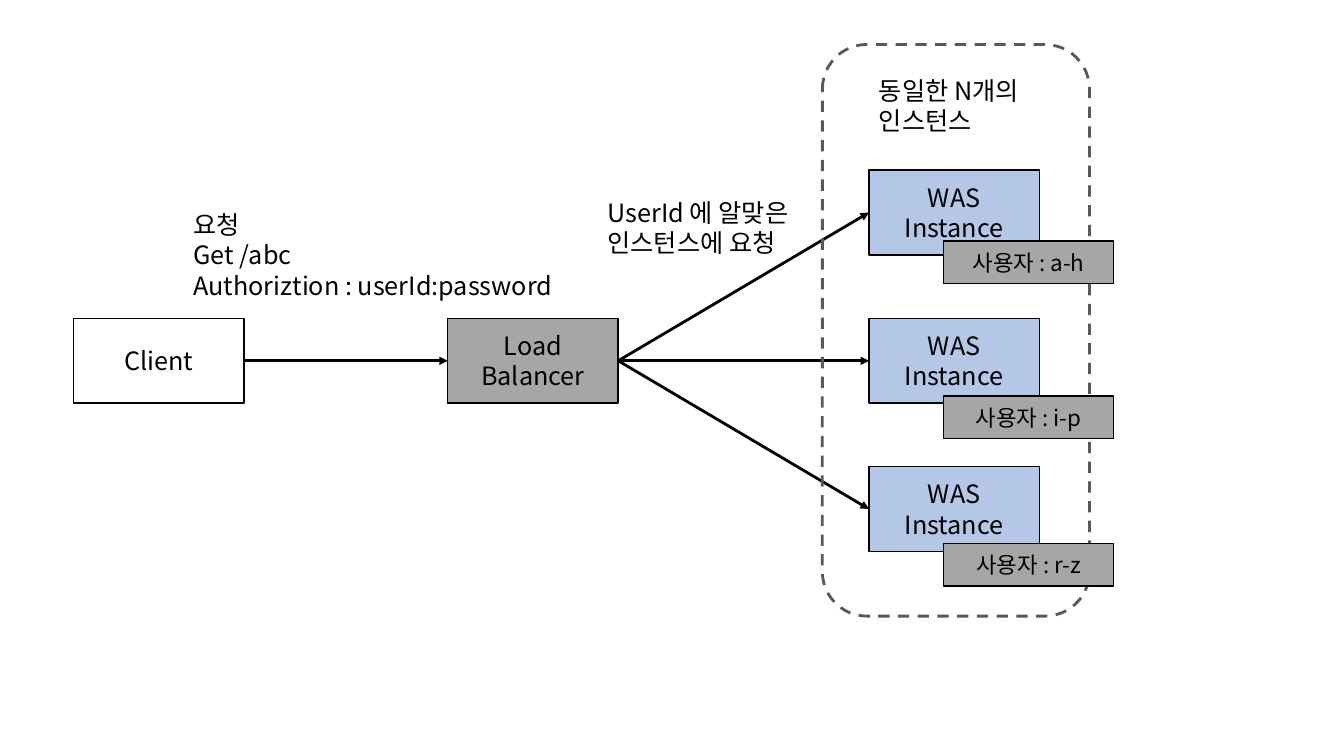
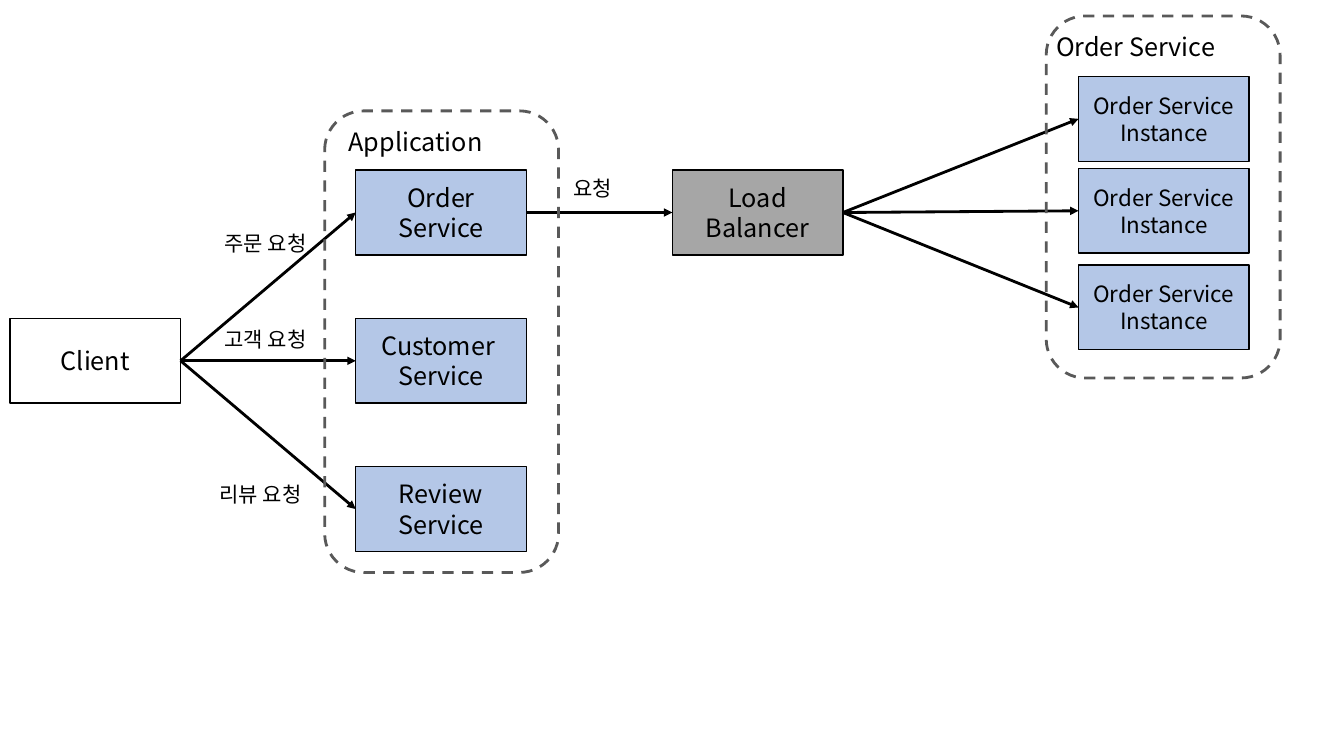
import lxml.etree
import pptx
import pptx.dml.color
import pptx.enum.dml
import pptx.enum.shapes
import pptx.enum.text
import pptx.oxml.ns
import pptx.util

COLORS = {"ink": "000000", "client": "FFFFFF", "balancer": "A6A6A6",
          "service": "B4C7E7", "frame": "595959"}
FONT = "Noto Sans CJK KR"
COLUMNS, ROWS = 32, 18
NODE_WIDTH, NODE_HEIGHT, BADGE_HEIGHT = 4.06, 2.02, 1.01
MIDDLE, STEP = 7.58, 3.53
TIERS = [MIDDLE - STEP, MIDDLE, MIDDLE + STEP]
SHAPES = pptx.enum.shapes.MSO_SHAPE
ANCHORS = pptx.enum.text.MSO_ANCHOR
NODE_FRAME = {"word_wrap": True, "vertical_anchor": ANCHORS.MIDDLE}
LABEL_FRAME = {"word_wrap": True, "vertical_anchor": ANCHORS.TOP,
               "auto_size": pptx.enum.text.MSO_AUTO_SIZE.SHAPE_TO_FIT_TEXT}
NODE_PARA = {"alignment": pptx.enum.text.PP_ALIGN.CENTER}
LABEL_PARA = {"alignment": pptx.enum.text.PP_ALIGN.LEFT}
THIN = {"width": pptx.util.Pt(1)}
THICK = {"width": pptx.util.Pt(2)}
DASHED = {**THICK, "dash_style": pptx.enum.dml.MSO_LINE.DASH}


def set_values(target, values):
    """Set each attribute named in values on the target."""
    for name, value in values.items():
        setattr(target, name, value)


def add_tag(parent, tag, **attributes):
    """Append a drawing element to its parent."""
    lxml.etree.SubElement(parent, pptx.oxml.ns.qn(tag), attributes)


class Diagram:
    """Hold the deck's style and draw on the current slide."""

    def __init__(self):
        """Start an empty widescreen deck."""
        self.deck = pptx.Presentation()
        set_values(self.deck, {"slide_width": pptx.util.Inches(13.33),
                               "slide_height": pptx.util.Inches(7.5)})
        self.page = None

    def new_page(self):
        """Add a blank slide and make it current."""
        self.page = self.deck.slides.add_slide(self.deck.slide_layouts[6])

    def place(self, column, row, columns, rows):
        """Turn grid cells into left, top, width and height."""
        across = self.deck.slide_width / COLUMNS
        down = self.deck.slide_height / ROWS
        return [round(length) for length in
                (column * across, row * down, columns * across, rows * down)]

    def color(self, name):
        """Look up a colour by its role."""
        return pptx.dml.color.RGBColor.from_string(COLORS[name])

    def outline(self, line, color, values):
        """Colour and format a line."""
        line.fill.solid()
        line.fill.fore_color.rgb = self.color(color)
        set_values(line, values)

    def fill_text(self, box, text, size, frame_format, para_format):
        """Fill a box with one paragraph per line of text."""
        frame = box.text_frame
        set_values(frame, frame_format)
        for index, line in enumerate(text.split("\n")):
            para = frame.add_paragraph() if index else frame.paragraphs[0]
            para.text = line
            set_values(para, para_format)
            for span in para.runs:
                set_values(span.font, {"name": FONT, "size": pptx.util.Pt(size)})
                span.font.color.rgb = self.color("ink")
                add_tag(span.font._element, "a:ea", typeface=FONT)

    def node(self, text, color, column, row, rows=NODE_HEIGHT, size=18):
        """Draw a filled box with centred text."""
        box = self.page.shapes.add_shape(
            SHAPES.RECTANGLE, *self.place(column, row, NODE_WIDTH, rows))
        box.shadow.inherit = False
        box.fill.solid()
        box.fill.fore_color.rgb = self.color(color)
        self.outline(box.line, "ink", THIN)
        self.fill_text(box, text, size, NODE_FRAME, NODE_PARA)
        return box

    def frame(self, *cells):
        """Draw a dashed rounded group outline."""
        box = self.page.shapes.add_shape(
            SHAPES.ROUNDED_RECTANGLE, *self.place(*cells))
        box.shadow.inherit = False
        box.fill.background()
        self.outline(box.line, "frame", DASHED)

    def label(self, text, *cells, size=18):
        """Add free text."""
        box = self.page.shapes.add_textbox(*self.place(*cells))
        self.fill_text(box, text, size, LABEL_FRAME, LABEL_PARA)

    def arrow(self, source, target):
        """Join the right side of one box to the left side of another."""
        link = self.page.shapes.add_connector(
            pptx.enum.shapes.MSO_CONNECTOR.STRAIGHT, 0, 0, 0, 0)
        link.begin_connect(source, 3)
        link.end_connect(target, 1)
        self.outline(link.line, "ink", THICK)
        properties = link._element.spPr
        add_tag(properties.find(pptx.oxml.ns.qn("a:ln")), "a:tailEnd", type="triangle")
        add_tag(properties, "a:effectLst")

    def fan_out(self, source, targets):
        """Draw an arrow from one box to each target."""
        for target in targets:
            self.arrow(source, target)


def draw_user_routing(diagram):
    """Show requests routed to instances by user."""
    diagram.new_page()
    client = diagram.node("Client", "client", 1.75, MIDDLE)
    balancer = diagram.node("Load Balancer", "balancer", 10.66, MIDDLE)
    instances = [diagram.node("WAS\vInstance", "service", 20.69, row) for row in TIERS]
    diagram.arrow(client, balancer)
    diagram.fan_out(balancer, instances)
    diagram.frame(19.58, 1.06, 6.36, 13.61)
    diagram.label("요청\nGet /abc\nAuthoriztion : userId:password", 4.37, 4.87, 9.86, 2.42)
    diagram.label("UserId 에 알맞은 \n인스턴스에 요청", 14.23, 4.58, 6.36, 1.7)
    diagram.label("동일한 N개의\n인스턴스", 20.69, 1.68, 5.57, 1.7)
    for users, row in (("a-h", 5.74), ("i-p", 9.43), ("r-z", 12.94)):
        diagram.node(f"사용자 : {users}", "balancer", 22.46, row, BADGE_HEIGHT, 16)


def draw_service_routing(diagram):
    """Show an application whose order service is load balanced."""
    diagram.new_page()
    client = diagram.node("Client", "client", 0.24, MIDDLE)
    balancer = diagram.node("Load Balancer", "balancer", 16.01, TIERS[0])
    names = ("Order Service", "Customer \nService", "Review\nService")
    services = [diagram.node(name, "service", 8.47, row)
                for name, row in zip(names, TIERS)]
    instances = [diagram.node("Order Service\nInstance", "service", 25.68, row, size=16)
                 for row in (1.82, 4.01, 6.31)]
    diagram.fan_out(client, services)
    diagram.arrow(services[0], balancer)
    diagram.fan_out(balancer, instances)
    diagram.frame(7.73, 2.64, 5.57, 10.99)
    diagram.frame(24.91, 0.38, 5.57, 8.62)
    diagram.label("Application", 8.06, 2.9, 5.57, 0.96)
    diagram.label("Order Service", 24.91, 0.62, 5.57, 0.96)
    requests = (("주문 요청", 5.11, 5.38), ("고객 요청", 5.11, 7.66),
                ("리뷰 요청", 4.99, 11.35), ("요청", 13.42, 4.06))
    for text, column, row in requests:
        diagram.label(text, column, row, 3.14, 0.84, size=15)


diagram = Diagram()
draw_user_routing(diagram)
draw_service_routing(diagram)
diagram.deck.save("out.pptx")
